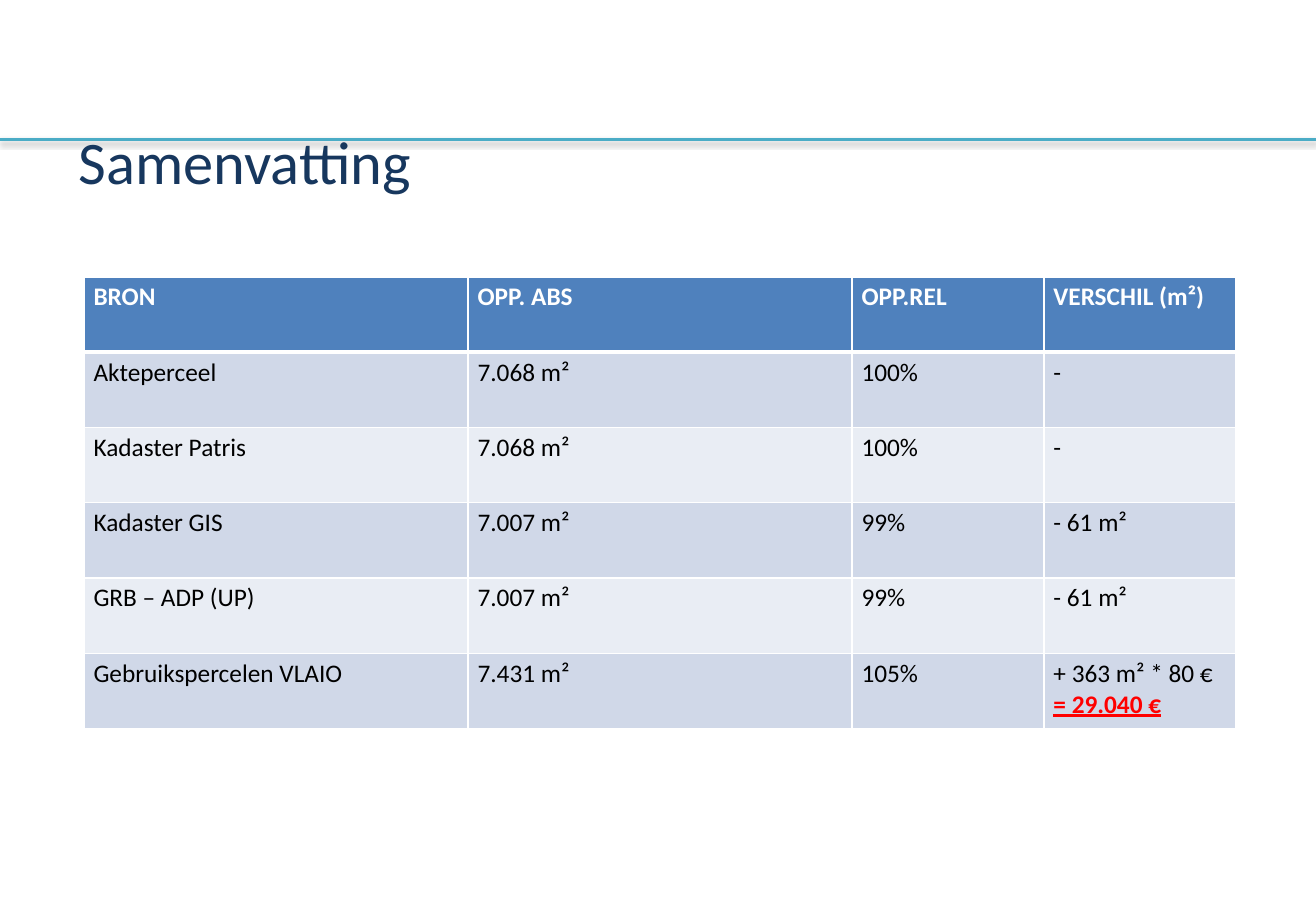
import dataclasses
import pptx
import pptx.dml.color
import pptx.enum.shapes
import pptx.enum.text
import pptx.oxml
import pptx.oxml.ns
import pptx.util
from pptx.util import Inches

FONT = "Calibri"
COLORS = {
    "title": "17375E",
    "rule": "4BACC6",
    "header": "4F81BD",
    "band_dark": "D0D8E8",
    "band_light": "E9EDF4",
    "white": "FFFFFF",
    "black": "000000",
    "alert": "FF0000",
}
COLUMN_WIDTHS = (3.16, 3.16, 1.58, 1.58)
ROW_HEIGHT = 0.62


@dataclasses.dataclass(frozen=True)
class Source:
    name: str
    area: str
    share: str
    difference: str
    cost: str = ""


HEADER = Source("BRON", "OPP. ABS", "OPP.REL", "VERSCHIL (m²)")
SOURCES = (
    Source("Akteperceel", "7.068 m²", "100%", "-"),
    Source("Kadaster Patris", "7.068 m²", "100%", "-"),
    Source("Kadaster GIS", "7.007 m²", "99%", "- 61 m²"),
    Source("GRB – ADP (UP)", "7.007 m²", "99%", "- 61 m²"),
    Source("Gebruikspercelen VLAIO", "7.431 m²", "105%", "+ 363 m² * 80 € ", "= 29.040 €"),
)


def rgb(color: str) -> pptx.dml.color.RGBColor:
    return pptx.dml.color.RGBColor.from_string(COLORS[color])


def add_run(p, text: str, size: float, color: str, bold: bool = False, underline: bool = False) -> None:
    r = p.add_run()
    r.text = text
    r.font.name = FONT
    r.font.size = pptx.util.Pt(size)
    r.font.color.rgb = rgb(color)
    r.font.bold = bold
    r.font.underline = underline


def add_title(slide, text: str) -> None:
    sp = slide.shapes.title
    sp.left, sp.top, sp.width, sp.height = map(Inches, (0.55, 0.81, 9.75, 1.02))
    tf = sp.text_frame
    tf.vertical_anchor = pptx.enum.text.MSO_ANCHOR.MIDDLE
    p = tf.paragraphs[0]
    p.alignment = pptx.enum.text.PP_ALIGN.LEFT
    add_run(p, text, 35.8, "title")


def add_rule(slide, width: int) -> None:
    """Draw the shadowed line across the slide, behind the title."""
    y = Inches(1.15)
    line = slide.shapes.add_connector(pptx.enum.shapes.MSO_CONNECTOR.STRAIGHT, 0, y, width, y)
    line.line.color.rgb = rgb("rule")
    line.line.width = pptx.util.Pt(2)
    blur, distance = pptx.util.Pt(3.1), pptx.util.Pt(1.6)
    line._element.spPr.append(pptx.oxml.parse_xml(
        f'<a:effectLst {pptx.oxml.ns.nsdecls("a")}>'
        f'<a:outerShdw blurRad="{blur}" dist="{distance}" dir="5400000" rotWithShape="0">'
        f'<a:srgbClr val="{COLORS["black"]}"><a:alpha val="38000"/></a:srgbClr>'
        '</a:outerShdw></a:effectLst>'))
    slide.shapes.title._element.addprevious(line._element)


def set_borders(cell, top: float, bottom: float) -> None:
    """Give the cell white borders; widths are in points."""
    tc_pr = cell._tc.get_or_add_tcPr()
    for i, (side, width) in enumerate((("L", 1), ("R", 1), ("T", top), ("B", bottom))):
        tc_pr.insert(i, pptx.oxml.parse_xml(
            f'<a:ln{side} {pptx.oxml.ns.nsdecls("a")} w="{pptx.util.Pt(width)}">'
            f'<a:solidFill><a:srgbClr val="{COLORS["white"]}"/></a:solidFill></a:ln{side}>'))


def fill_row(cells, source: Source, row: int) -> None:
    is_header = row == 0
    fill = "header" if is_header else ("band_light", "band_dark")[row % 2]
    texts = (source.name, source.area, source.share, source.difference)
    for cell, text in zip(cells, texts):
        cell.margin_left = cell.margin_right = Inches(0.08)
        cell.margin_top = cell.margin_bottom = Inches(0.04)
        cell.fill.solid()
        cell.fill.fore_color.rgb = rgb(fill)
        set_borders(cell, top=3 if row == 1 else 1, bottom=3 if is_header else 1)
        add_run(cell.text_frame.paragraphs[0], text, 15,
                "white" if is_header else "black", bold=is_header)
    if source.cost:
        add_run(cells[-1].text_frame.paragraphs[0], source.cost, 15, "alert", bold=True, underline=True)


def add_source_table(slide) -> None:
    rows = (HEADER, *SOURCES)
    table = slide.shapes.add_table(
        len(rows), len(COLUMN_WIDTHS), Inches(0.69), Inches(2.28),
        Inches(sum(COLUMN_WIDTHS)), Inches(ROW_HEIGHT * len(rows))).table
    for column, width in zip(table.columns, COLUMN_WIDTHS):
        column.width = Inches(width)
    for i, source in enumerate(rows):
        table.rows[i].height = Inches(ROW_HEIGHT)
        fill_row(list(table.rows[i].cells), source, i)


def main() -> None:
    prs = pptx.Presentation()
    prs.slide_width, prs.slide_height = Inches(10.83), Inches(7.5)
    slide = prs.slides.add_slide(prs.slide_layouts[5])
    add_title(slide, "Samenvatting")
    add_rule(slide, prs.slide_width)
    add_source_table(slide)
    prs.save("out.pptx")


if __name__ == "__main__":
    main()
